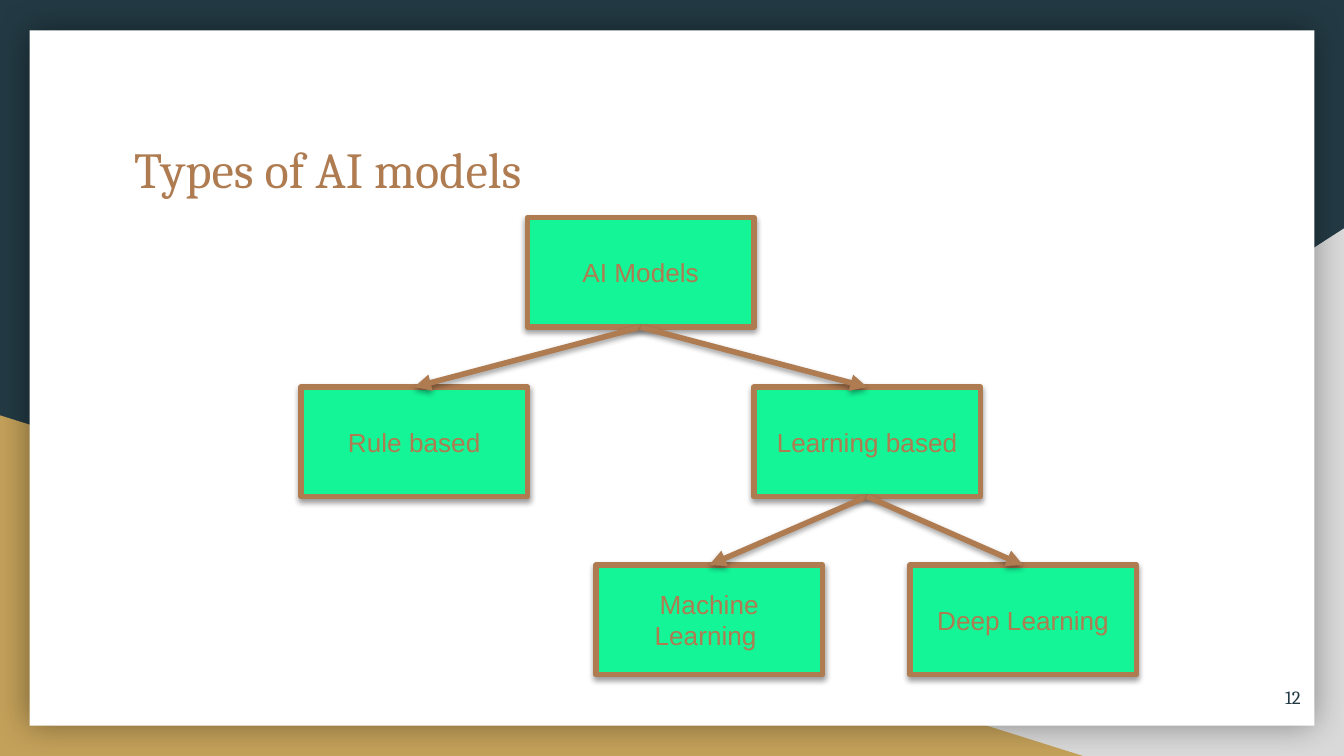
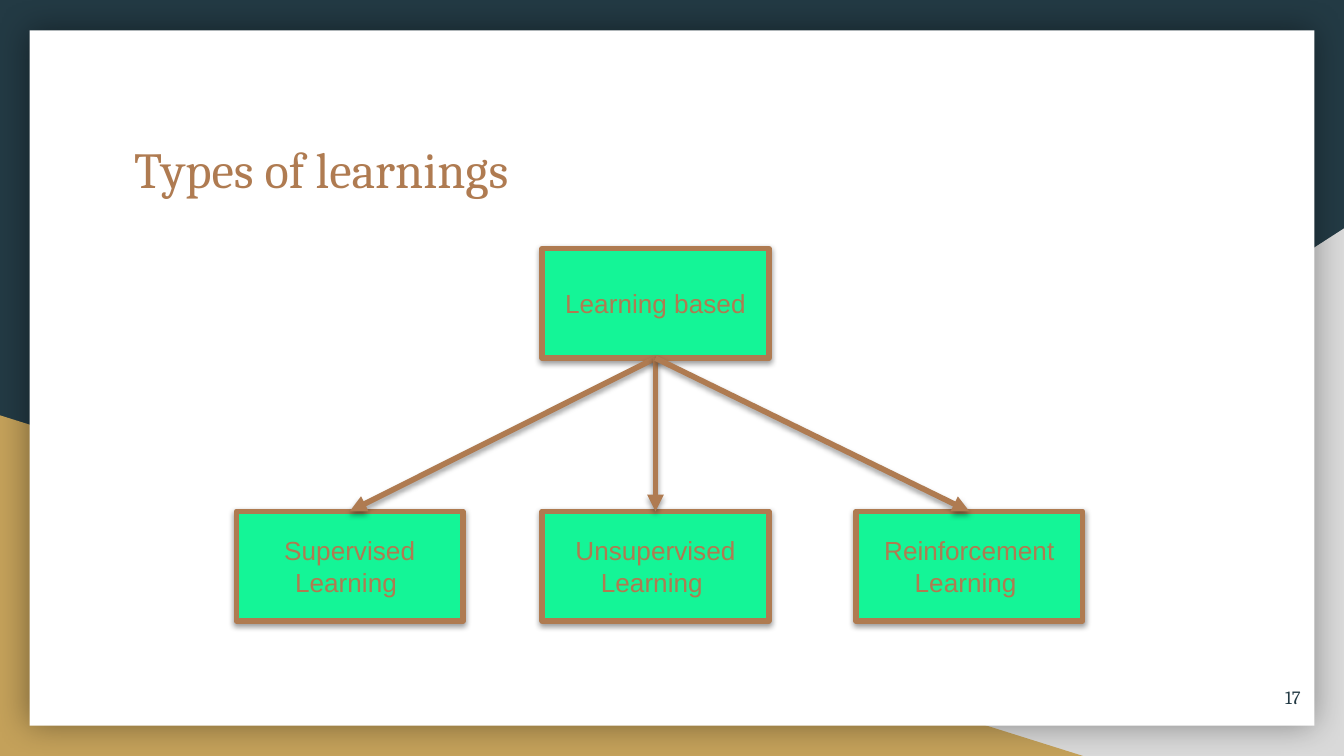
from dataclasses import dataclass

from lxml import etree
from pptx import Presentation
from pptx.dml.color import RGBColor
from pptx.enum.shapes import MSO_CONNECTOR, MSO_SHAPE
from pptx.enum.text import MSO_ANCHOR, PP_ALIGN
from pptx.oxml.ns import qn
from pptx.util import Pt

TRIANGLE = MSO_SHAPE.RIGHT_TRIANGLE
RECTANGLE = MSO_SHAPE.RECTANGLE
PROCESS = MSO_SHAPE.FLOWCHART_PROCESS
STRAIGHT = MSO_CONNECTOR.STRAIGHT
LEFT, CENTER, RIGHT = PP_ALIGN.LEFT, PP_ALIGN.CENTER, PP_ALIGN.RIGHT
TOP, MIDDLE = MSO_ANCHOR.TOP, MSO_ANCHOR.MIDDLE

PX = 4572  # 200 px to the inch
TOP_SIDE, BOTTOM_SIDE = 0, 2
NODE_WIDTH, NODE_HEIGHT = 337 * PX, 163 * PX


@dataclass(frozen=True)
class Theme:
    navy: RGBColor = RGBColor.from_string("233A44")
    gray: RGBColor = RGBColor.from_string("D9D9D9")
    gold: RGBColor = RGBColor.from_string("C4A15A")
    white: RGBColor = RGBColor.from_string("FFFFFF")
    brown: RGBColor = RGBColor.from_string("AF7B51")
    green: RGBColor = RGBColor.from_string("14F597")
    serif: str = "Cambria"
    sans: str = "Arial"
    title_size: int = 27
    node_size: int = 14
    number_size: int = 10
    line_width: int = 3


THEME = Theme()

# Each slide: title, page number, nodes as (label, left, top, parent label)
SLIDES = [
    ("Types of AI models", "12", [
        ("AI Models", 785, 324, None),
        ("Rule based", 448, 576, "AI Models"),
        ("Learning based", 1122, 576, "AI Models"),
        ("Machine Learning ", 887, 841, "Learning based"),
        ("Deep Learning", 1354, 841, "Learning based"),
    ]),
    ("Types of learnings", "17", [
        ("Learning based", 807, 370, None),
        ("Supervised Learning ", 352, 761, "Learning based"),
        ("Unsupervised Learning ", 807, 761, "Learning based"),
        ("Reinforcement Learning ", 1274, 761, "Learning based"),
    ]),
]

# Backdrop, back to front: kind, left, top, width, height, colour, flipped
BACKDROP = [
    (TRIANGLE, 784, 340, 1216, 785, THEME.gray, True),
    (TRIANGLE, 0, 618, 1612, 507, THEME.gold, False),
    (RECTANGLE, 44, 45, 1912, 1035, THEME.white, False),
]


def write_text(shape, text, *, size, font, color, align=LEFT, anchor=TOP, inset=None):
    frame = shape.text_frame
    frame.word_wrap = True
    frame.vertical_anchor = anchor
    if inset is not None:
        frame.margin_left = frame.margin_right = inset * PX
        frame.margin_top = frame.margin_bottom = inset * PX
    para = frame.paragraphs[0]
    para.alignment = align
    span = para.add_run()
    span.text = text
    span.font.size = Pt(size)
    span.font.name = font
    span.font.color.rgb = color


def cast_shadow(shape, *, opacity=38, blur=3.1, distance=1.6, angle=90):
    """Add a black outer shadow; call after fill and line are set."""
    effects = etree.SubElement(shape._element.spPr, qn("a:effectLst"))
    shadow = etree.SubElement(
        effects, qn("a:outerShdw"), blurRad=str(Pt(blur)), dist=str(Pt(distance)),
        dir=str(angle * 60000), algn="ctr", rotWithShape="0")
    black = etree.SubElement(shadow, qn("a:srgbClr"), val="000000")
    etree.SubElement(black, qn("a:alpha"), val=str(opacity * 1000))


deck = Presentation()
deck.slide_width, deck.slide_height = 2000 * PX, 1125 * PX

for title, number, nodes in SLIDES:
    page = deck.slides.add_slide(deck.slide_layouts[6])
    page.background.fill.solid()
    page.background.fill.fore_color.rgb = THEME.navy

    for kind, left, top, width, height, color, flipped in BACKDROP:
        panel = page.shapes.add_shape(kind, left * PX, top * PX, width * PX, height * PX)
        panel.fill.solid()
        panel.fill.fore_color.rgb = color
        panel.line.fill.background()
        if flipped:
            panel._element.spPr.xfrm.set("flipH", "1")
        if kind == RECTANGLE:
            cast_shadow(panel, opacity=40, blur=18, distance=0, angle=0)
        else:
            panel.shadow.inherit = False

    title_box = page.shapes.add_textbox(180 * PX, 185 * PX, 1642 * PX, 140 * PX)
    write_text(title_box, title, size=THEME.title_size, font=THEME.serif,
               color=THEME.brown, inset=20)
    number_box = page.shapes.add_textbox(1835 * PX, 995 * PX, 120 * PX, 86 * PX)
    write_text(number_box, number, size=THEME.number_size, font=THEME.serif,
               color=THEME.navy, align=RIGHT, anchor=MIDDLE, inset=20)

    boxes = {}
    for label, left, top, parent in nodes:
        box = page.shapes.add_shape(PROCESS, left * PX, top * PX, NODE_WIDTH, NODE_HEIGHT)
        box.fill.solid()
        box.fill.fore_color.rgb = THEME.green
        box.line.color.rgb = THEME.brown
        box.line.width = Pt(THEME.line_width)
        cast_shadow(box)
        write_text(box, label, size=THEME.node_size, font=THEME.sans,
                   color=THEME.brown, align=CENTER, anchor=MIDDLE)
        boxes[label] = box

    for label, left, top, parent in nodes:
        if parent is None:
            continue
        arrow = page.shapes.add_connector(STRAIGHT, 0, 0, 0, 0)
        arrow.begin_connect(boxes[parent], BOTTOM_SIDE)
        arrow.end_connect(boxes[label], TOP_SIDE)
        arrow.line.color.rgb = THEME.brown
        arrow.line.width = Pt(THEME.line_width)
        etree.SubElement(arrow.line._get_or_add_ln(), qn("a:tailEnd"), type="triangle")
        cast_shadow(arrow)

deck.save("out.pptx")
